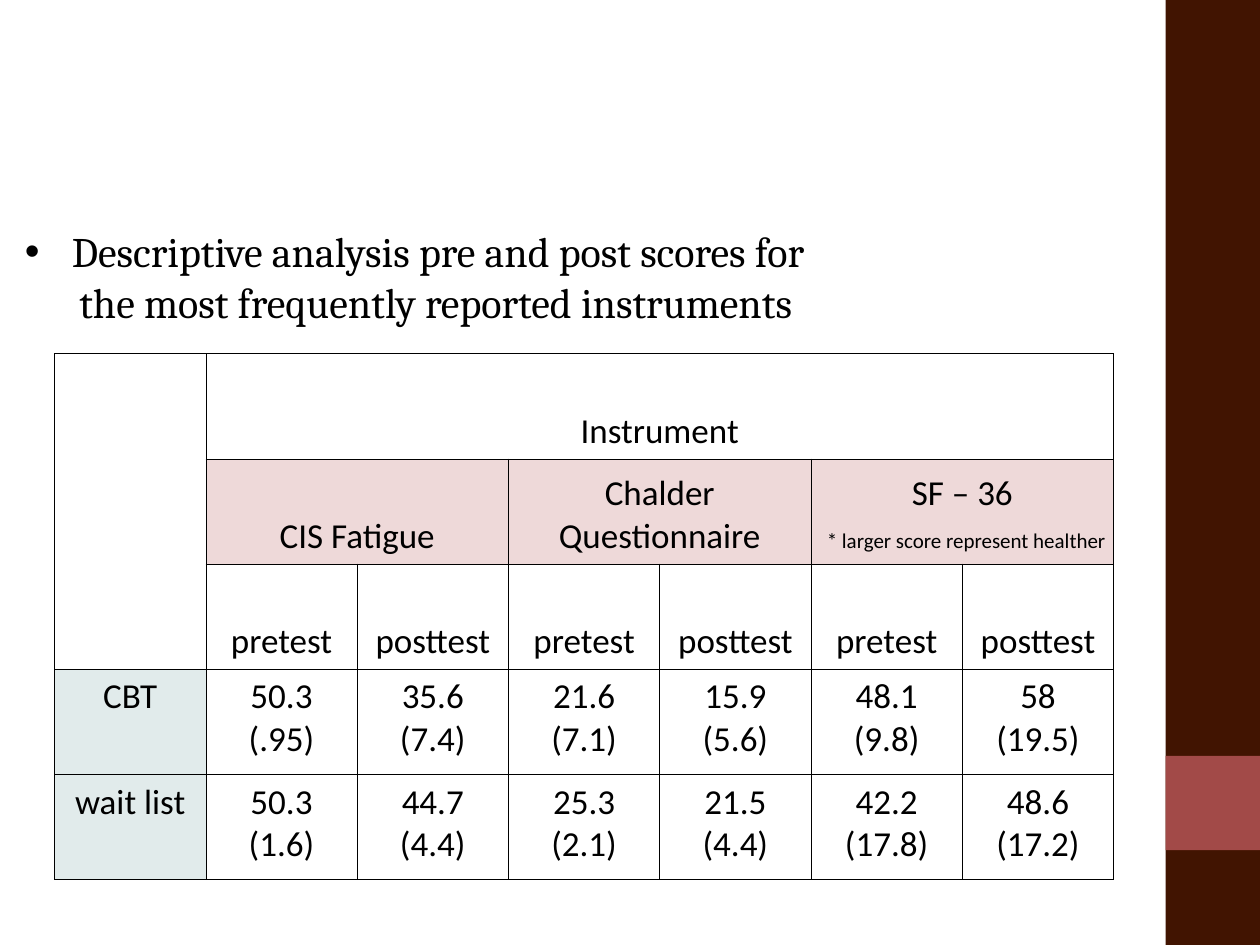
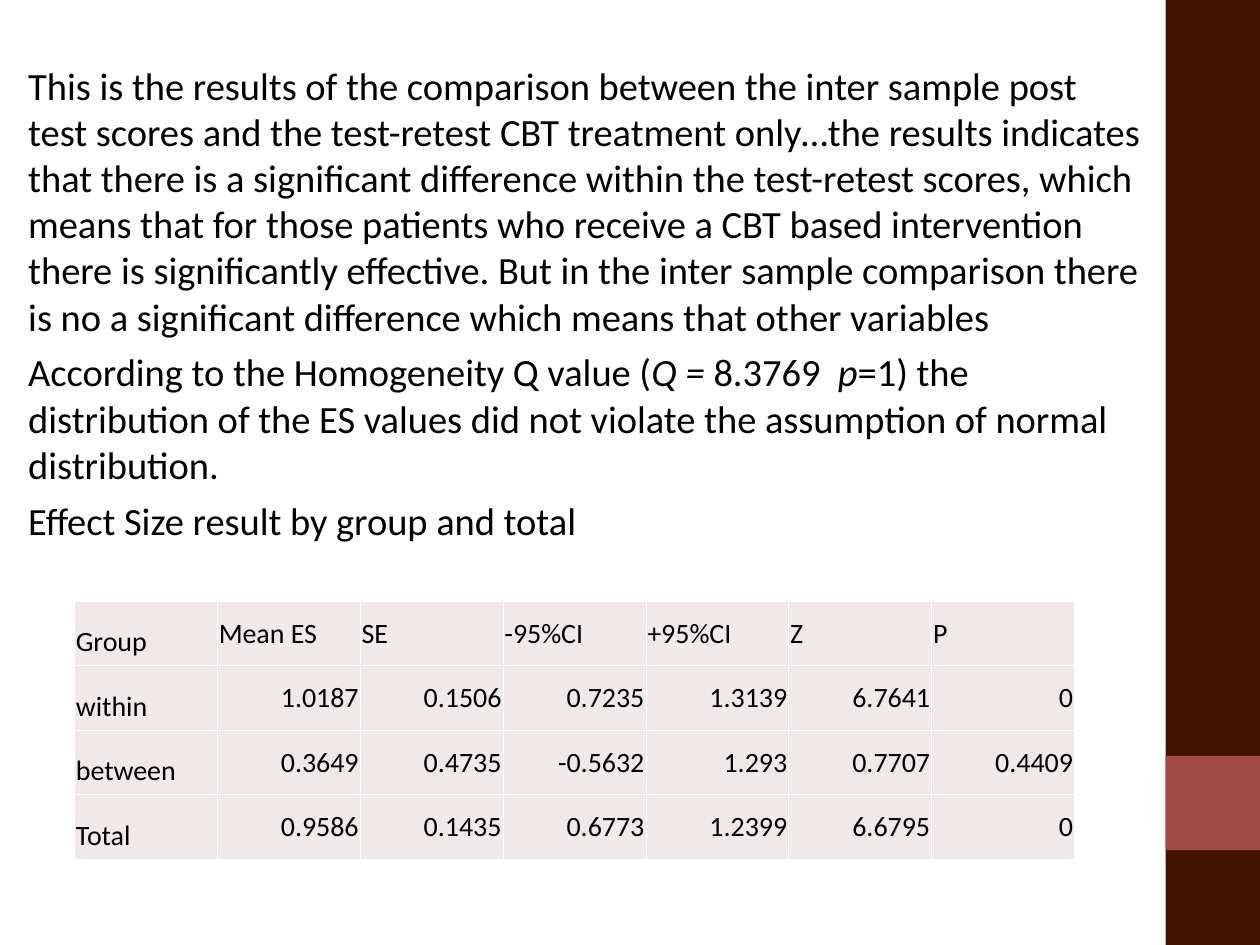
from lxml import etree
from pptx import Presentation
from pptx.dml.color import RGBColor
from pptx.enum.shapes import MSO_SHAPE
from pptx.enum.text import MSO_ANCHOR, PP_ALIGN
from pptx.oxml.ns import qn
from pptx.util import Cm, Pt

RECTANGLE = MSO_SHAPE.RECTANGLE
TOP, MIDDLE, BOTTOM = MSO_ANCHOR.TOP, MSO_ANCHOR.MIDDLE, MSO_ANCHOR.BOTTOM
LEFT, CENTER, RIGHT = PP_ALIGN.LEFT, PP_ALIGN.CENTER, PP_ALIGN.RIGHT

SLIDE_WIDTH, SLIDE_HEIGHT = 25.4, 19.05
BAND_WIDTH = 1.9
BLACK, WHITE = "000000", "FFFFFF"
BROWN, RED = "411401", "A24A48"
PINK, PALE_GREEN, PALE_GREY = "EED9D9", "E1EBEB", "F0E9E9"
BODY_FONT, HEADING_FONT = "Calibri", "Cambria"

INSTRUMENTS = [
    "CIS Fatigue",
    "Chalder Questionnaire",
    ["SF – 36", [(" ", {}), ("* larger score represent healther", {"size": Pt(12)})]],
]
SCORES = [
    ["CBT", "50.3 (.95)", "35.6 (7.4)", "21.6 (7.1)", "15.9 (5.6)", "48.1 (9.8)", "58 (19.5)"],
    ["wait list", "50.3 (1.6)", "44.7 (4.4)", "25.3 (2.1)", "21.5 (4.4)", "42.2 (17.8)", "48.6 (17.2)"],
]
EFFECT_SIZES = [
    ["Group", "Mean ES", "SE", "-95%CI", "+95%CI", "Z", "P"],
    ["within", "1.0187", "0.1506", "0.7235", "1.3139", "6.7641", "0"],
    ["between", "0.3649", "0.4735", "-0.5632", "1.293", "0.7707", "0.4409"],
    ["Total", "0.9586", "0.1435", "0.6773", "1.2399", "6.6795", "0"],
]
ITALIC = {"italic": True}
FINDINGS = [
    "This is the results of the comparison between the inter sample post test scores and the "
    "test-retest CBT treatment only…the results indicates that there is a significant difference "
    "within the test-retest scores, which means that for those patients who receive a CBT based "
    "intervention there is significantly effective. But in the inter sample comparison there is no "
    "a significant difference which means that other variables",
    [
        ("According to the Homogeneity Q value (", {}),
        ("Q = ", ITALIC),
        ("8.3769  ", {}),
        ("p", ITALIC),
        ("=1) the distribution of the ES values did not violate the assumption of normal "
         "distribution.", {}),
    ],
    "Effect Size result by group and total",
]


def color(value):
    return RGBColor.from_string(value)


def set_indent(paragraph, margin, first_line=0.0, bullet=None):
    properties = paragraph._p.get_or_add_pPr()
    properties.set("marL", str(Cm(margin)))
    properties.set("indent", str(Cm(first_line)))
    if bullet:
        etree.SubElement(properties, qn("a:buFont")).set("typeface", "Arial")
        etree.SubElement(properties, qn("a:buChar")).set("char", bullet)


def write_paragraphs(frame, texts, size, font=BODY_FONT, alignment=LEFT):
    """Write each text, a string or a list of (text, font settings) runs, as a paragraph."""
    for index, text in enumerate(texts):
        paragraph = frame.add_paragraph() if index else frame.paragraphs[0]
        paragraph.alignment = alignment
        paragraph.font.name = font
        paragraph.font.size = Pt(size)
        paragraph.font.color.rgb = color(BLACK)
        runs = [(text, {})] if isinstance(text, str) else text
        for run_text, settings in runs:
            run = paragraph.add_run()
            run.text = run_text
            for name, value in settings.items():
                setattr(run.font, name, value)


def add_rectangle(slide, left, top, width, height, fill):
    shape = slide.shapes.add_shape(RECTANGLE, Cm(left), Cm(top), Cm(width), Cm(height))
    shape.shadow.inherit = False
    shape.fill.solid()
    shape.fill.fore_color.rgb = color(fill)
    shape.line.fill.background()


def add_text_frame(slide, left, top, width, height, anchor=TOP):
    box = slide.shapes.add_textbox(Cm(left), Cm(top), Cm(width), Cm(height))
    frame = box.text_frame
    frame.word_wrap = True
    frame.vertical_anchor = anchor
    return frame


def add_slide(presentation):
    """Add a blank slide with the side band and its red square."""
    slide = presentation.slides.add_slide(presentation.slide_layouts[6])
    left = SLIDE_WIDTH - BAND_WIDTH
    add_rectangle(slide, left, 0, BAND_WIDTH, SLIDE_HEIGHT, BROWN)
    add_rectangle(slide, left, 0.8 * SLIDE_HEIGHT, BAND_WIDTH, BAND_WIDTH, RED)
    return slide


def set_borders(cell, line_color):
    properties = cell._tc.get_or_add_tcPr()
    for position, tag in enumerate(("a:lnL", "a:lnR", "a:lnT", "a:lnB")):
        line = etree.Element(qn(tag), w=str(Pt(0.45)))
        fill = etree.SubElement(line, qn("a:solidFill"))
        etree.SubElement(fill, qn("a:srgbClr")).set("val", line_color)
        properties.insert(position, line)


def add_grid(slide, left, top, rows, columns, row_height, column_width, line_color):
    """Add a plain table with equal cells and lines of one colour."""
    frame = slide.shapes.add_table(
        rows, columns, Cm(left), Cm(top), Cm(columns * column_width), Cm(rows * row_height))
    table = frame.table
    table.first_row = table.horz_banding = False
    for row in table.rows:
        row.height = Cm(row_height)
    for column in table.columns:
        column.width = Cm(column_width)
    for cell in table.iter_cells():
        cell.fill.background()
        set_borders(cell, line_color)
    return table


def fill_cell(cell, texts, size, alignment, anchor, side_margin, fill=None):
    cell.margin_left = cell.margin_right = Cm(side_margin)
    cell.vertical_anchor = anchor
    if fill:
        cell.fill.solid()
        cell.fill.fore_color.rgb = color(fill)
    write_paragraphs(cell.text_frame, texts, size, alignment=alignment)


def add_score_table(slide, left, top):
    table = add_grid(slide, left, top, 5, 7, 2.12, 3.05, BLACK)

    def put(row, column, texts, anchor=BOTTOM, fill=None):
        fill_cell(table.cell(row, column), texts, 20, CENTER, anchor, 0.05, fill)

    table.cell(0, 0).merge(table.cell(2, 0))
    table.cell(0, 1).merge(table.cell(0, 6))
    put(0, 1, ["Instrument"])
    for index, name in enumerate(INSTRUMENTS):
        column = 1 + 2 * index
        table.cell(1, column).merge(table.cell(1, column + 1))
        put(1, column, [name] if isinstance(name, str) else name, fill=PINK)
        put(2, column, ["pretest"])
        put(2, column + 1, ["posttest"])
    for row, (group, *scores) in enumerate(SCORES, start=3):
        put(row, 0, [group], TOP, PALE_GREEN)
        for column, score in enumerate(scores, start=1):
            put(row, column, score.split(), TOP)


def add_effect_table(slide, left, top):
    table = add_grid(slide, left, top, 4, 7, 1.3, 2.88, WHITE)
    for row, values in enumerate(EFFECT_SIZES):
        for column, value in enumerate(values):
            alignment = RIGHT if row and column else LEFT
            anchor = MIDDLE if column else BOTTOM
            fill_cell(table.cell(row, column), [value], 16, alignment, anchor, 0.03, PALE_GREY)


def add_heading(slide, left, top, width, height):
    frame = add_text_frame(slide, left, top, width, height, MIDDLE)
    first = frame.paragraphs[0]
    set_indent(first, 0.95, -0.95, "•")
    lines = ["Descriptive analysis pre and post scores for",
             "the most frequently reported instruments"]
    write_paragraphs(frame, lines, 24, HEADING_FONT)
    set_indent(frame.paragraphs[1], 1.1)


def add_findings(slide, left, top, width, height):
    frame = add_text_frame(slide, left, top, width, height)
    write_paragraphs(frame, FINDINGS, 22)
    for index, paragraph in enumerate(frame.paragraphs):
        set_indent(paragraph, 0.32)
        if index:
            paragraph.space_before = Pt(5.5)


def build_scores_slide(presentation):
    slide = add_slide(presentation)
    add_score_table(slide, 1.1, 7.13)
    add_heading(slide, 0.25, 4.42, 17.93, 2.29)


def build_effects_slide(presentation):
    slide = add_slide(presentation)
    add_findings(slide, 0, 1.12, 23.3, 16.66)
    add_effect_table(slide, 1.5, 12.12)


def main():
    presentation = Presentation()
    presentation.slide_width = Cm(SLIDE_WIDTH)
    presentation.slide_height = Cm(SLIDE_HEIGHT)
    build_scores_slide(presentation)
    build_effects_slide(presentation)
    presentation.save("out.pptx")


if __name__ == "__main__":
    main()
